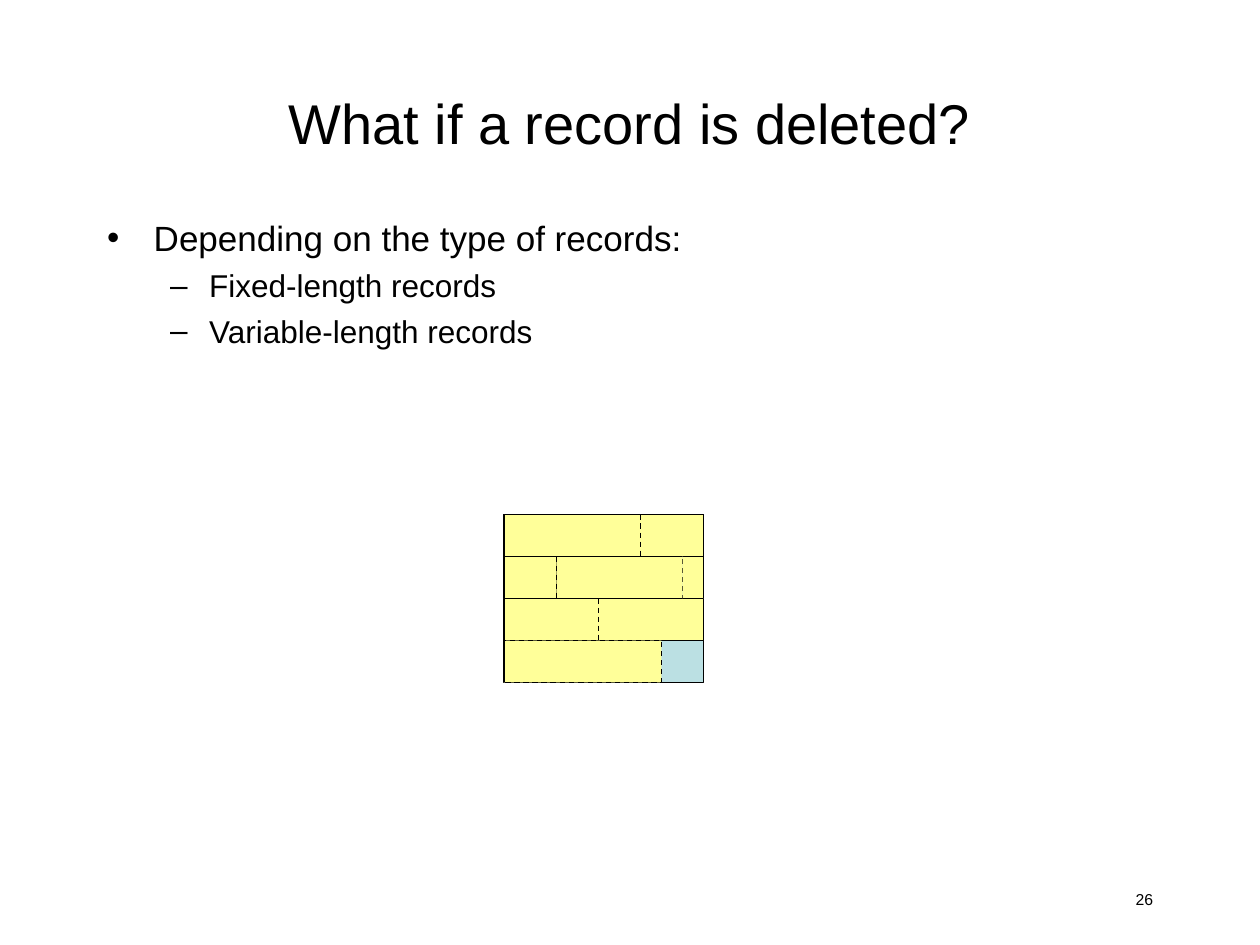
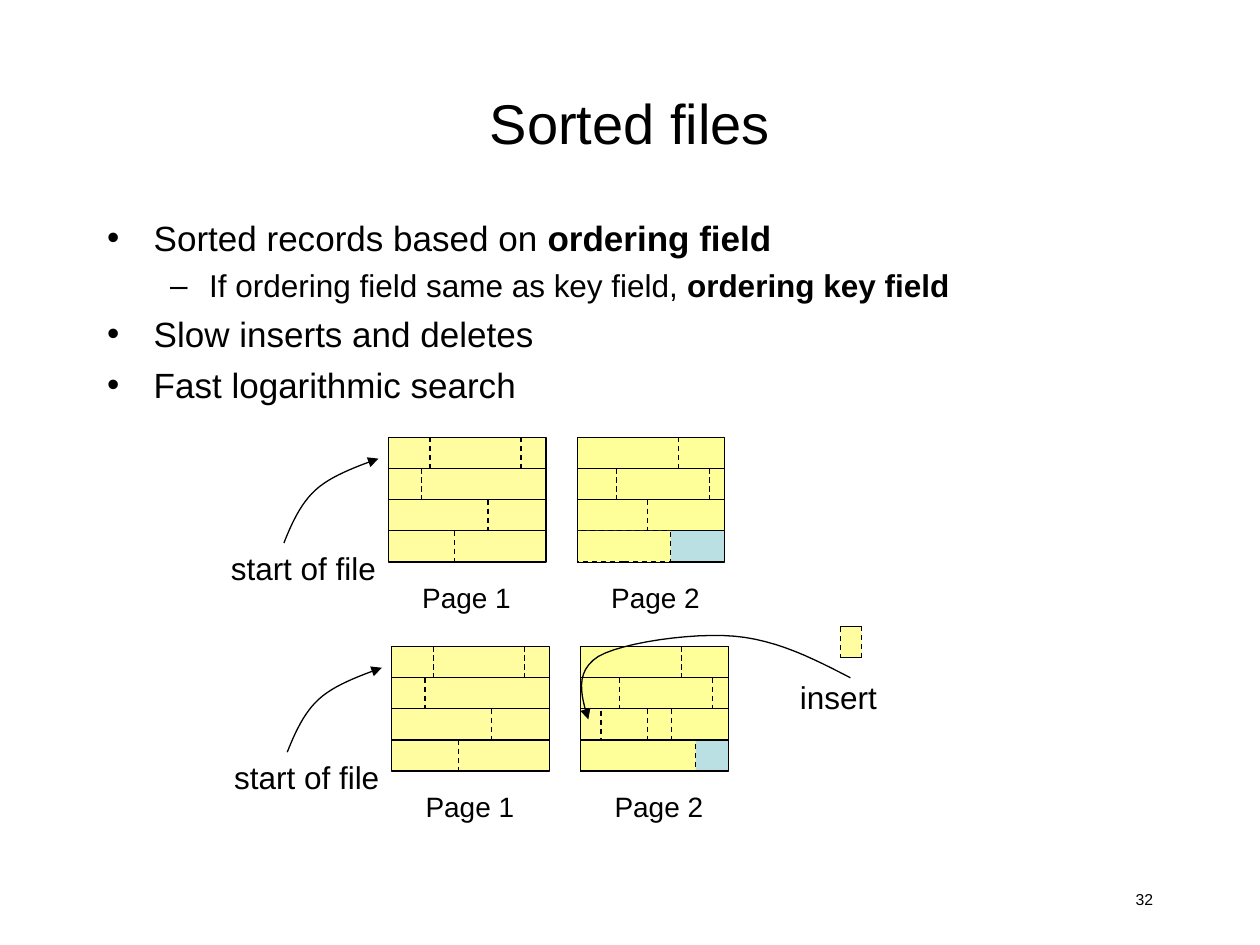
from lxml import etree
from pptx import Presentation
from pptx import util as u
from pptx.dml.color import RGBColor
from pptx.enum import dml, shapes, text
from pptx.oxml.ns import qn

# ---------- Content ----------
COLOURS = {"ink": "000000", "free": "BBE0E3", "record": "FFFF99", "sorted": "FFFDA0"}
FONT = "Arial"
COLUMNS, ROWS = 19, 4  # grid of every disk page

# Bullets are (level, plain words, bold words)
DELETED = {
    "title": "What if a record is deleted?",
    "number": "26",
    "bullets": [
        (0, "Depending on the type of records:", ""),
        (1, "Fixed-length records", ""),
        (1, "Variable-length records", ""),
    ],
}
SORTED = {
    "title": "Sorted files",
    "number": "32",
    "bullets": [
        (0, "Sorted records based on ", "ordering field"),
        (1, "If ordering field same as key field, ", "ordering key field"),
        (0, "Slow inserts and deletes", ""),
        (0, "Fast logarithmic search", ""),
    ],
}

# Disk pages: full-width bands, dashed marks as {row: columns}, and pieces of a row as
# (row, first column, last column, fill, solid sides, dashed border)
FULL_PAGE = {"fill": "sorted", "bands": (), "pieces": [],
             "marks": {0: (5, 16), 1: (4,), 2: (12,), 3: (8,)}}
SPLIT_PAGE = {"fill": "free", "bands": (0, 2), "marks": {0: (13,), 1: (5,), 2: (9,)},
              "pieces": [(3, 0, 15, "record", ("left",), True),
                         (1, 17, 19, "record", ("top", "bottom", "right"), True),
                         (1, 0, 5, "record", ("top", "bottom", "left"), True),
                         (1, 5, 17, "record", ("top", "bottom"), False)]}
BEFORE_INSERT = {"fill": "free", "bands": (0, 1, 2),
                 "marks": {0: (13,), 1: (5, 17), 2: (9,)},
                 "pieces": [(3, 0, 12, "record", ("left",), True)]}
AFTER_INSERT = {**BEFORE_INSERT, "marks": {0: (13,), 1: (5, 17), 2: (8.6, 11.7)},
                "pieces": BEFORE_INSERT["pieces"] + [
                    (2, 0, 2.6, "sorted", ("top", "bottom", "left"), True),
                    (3, 0, 14.8, "record", ("top", "bottom", "left"), True)]}

# Bullet levels: mark, left margin, hanging indent, size, space before
LEVELS = [("•", 0.37, 0.37, 20, 5), ("–", 0.81, 0.31, 18, 4.5)]

# Curves: start point, then Bezier segments of three points
START_CURVE = [(0.75, 0), (0.56, 0.07), (0.37, 0.14), (0.25, 0.25),
               (0.13, 0.36), (0.06, 0.52), (0, 0.67)]
INSERT_CURVE = [(6.75, 5.38), (6.46, 5.23), (6.17, 5.08), (5.83, 5.05),
                (5.5, 5.02), (4.94, 5.1), (4.75, 5.21),
                (4.56, 5.33), (4.61, 5.52), (4.67, 5.71)]


# ---------- Text ----------
def colour(name):
    return RGBColor.from_string(COLOURS[name])


def write(paragraph, words, size=18, bold=False, align=None):
    run = paragraph.add_run()
    run.text = words
    run.font.name, run.font.size, run.font.bold = FONT, u.Pt(size), bold
    run.font.color.rgb = colour("ink")
    if align is not None:
        paragraph.alignment = align


def add_label(slide, words, left, top, width, height, wrap=False, **style):
    box = slide.shapes.add_textbox(*map(u.Inches, (left, top, width, height)))
    box.text_frame.word_wrap = wrap
    write(box.text_frame.paragraphs[0], words, **style)


def place(shape, left, top, width, height):
    shape.left, shape.top, shape.width, shape.height = map(
        u.Inches, (left, top, width, height))


def set_bullet(paragraph, level):
    mark, margin, hang, size, space = LEVELS[level]
    paragraph.level = level
    properties = paragraph._p.get_or_add_pPr()
    properties.set("marL", str(u.Inches(margin)))
    properties.set("indent", str(-u.Inches(hang)))
    etree.SubElement(properties, qn("a:buFont")).set("typeface", FONT)
    etree.SubElement(properties, qn("a:buChar")).set("char", mark)
    return size, space


def add_slide(presentation, content):
    slide = presentation.slides.add_slide(presentation.slide_layouts[1])
    title, body = slide.placeholders
    place(title, 0.75, 0.34, 8.5, 1.25)
    title.text_frame.vertical_anchor = text.MSO_ANCHOR.MIDDLE
    write(title.text_frame.paragraphs[0], content["title"], size=32,
          align=text.PP_ALIGN.CENTER)

    place(body, 0.75, 5 / 3, 8.5, 5.08)
    frame = body.text_frame
    frame.auto_size = text.MSO_AUTO_SIZE.NONE
    for index, (level, plain, strong) in enumerate(content["bullets"]):
        paragraph = frame.add_paragraph() if index else frame.paragraphs[0]
        size, space = set_bullet(paragraph, level)
        paragraph.space_before = u.Pt(space if index else 0)
        write(paragraph, plain, size=size)
        if strong:
            write(paragraph, strong, size=size, bold=True)

    add_label(slide, content["number"], 7.17, 7.01, 2.08, 0.33, wrap=True, size=9,
              align=text.PP_ALIGN.RIGHT)
    return slide


# ---------- Drawing ----------
def outline(shape, dashed=False):
    shape.line.color.rgb = colour("ink")
    shape.line.width = u.Pt(0.75)
    if dashed:
        shape.line.dash_style = dml.MSO_LINE.DASH


def add_box(slide, left, top, width, height, fill, dashed=False, border=True):
    box = slide.shapes.add_shape(shapes.MSO_SHAPE.RECTANGLE,
                                 *map(u.Inches, (left, top, width, height)))
    box.shadow.inherit = False
    box.fill.solid()
    box.fill.fore_color.rgb = colour(fill)
    if border:
        outline(box, dashed)
    else:
        box.line.fill.background()


def add_line(slide, x1, y1, x2, y2, dashed=False):
    line = slide.shapes.add_connector(shapes.MSO_CONNECTOR.STRAIGHT,
                                      *map(u.Inches, (x1, y1, x2, y2)))
    etree.SubElement(line._element.spPr, qn("a:effectLst"))
    outline(line, dashed)


def add_piece(slide, left, top, width, height, fill, sides, border=True):
    """Draw part of a row: a dashed box with some sides solid."""
    right, bottom = left + width, top + height
    edges = {"top": (left, top, right, top), "bottom": (left, bottom, right, bottom),
             "left": (left, top, left, bottom), "right": (right, top, right, bottom)}
    add_box(slide, left, top, width, height, fill, dashed=True, border=border)
    for side in sides:
        add_line(slide, *edges[side])


def bezier(points, steps=12):
    """Points along a chain of cubic curves."""
    yield points[0]
    for first in range(0, len(points) - 1, 3):
        a, b, c, d = points[first:first + 4]
        for step in range(1, steps + 1):
            t = step / steps
            weights = ((1 - t) ** 3, 3 * t * (1 - t) ** 2, 3 * t * t * (1 - t), t ** 3)
            yield tuple(sum(w * p[axis] for w, p in zip(weights, (a, b, c, d)))
                        for axis in (0, 1))


def add_curve(slide, points, arrow, left=0, top=0):
    """Draw a curve; arrow is headEnd (at its start) or tailEnd (at its end)."""
    track = [(u.Inches(left + x), u.Inches(top + y)) for x, y in bezier(points)]
    builder = slide.shapes.build_freeform(*track[0])
    builder.add_line_segments(track[1:], close=False)
    curve = builder.convert_to_shape()
    curve.shadow.inherit = False
    curve.fill.background()
    outline(curve)
    etree.SubElement(curve.line._get_or_add_ln(), qn("a:" + arrow)).set("type", "triangle")


def add_page(slide, page, left, top, width, height):
    """Draw a disk page: bands or ruled rows, dashed marks, then pieces."""
    column, row_height = width / COLUMNS, height / ROWS
    add_box(slide, left, top, width, height, page["fill"])
    for row in page["bands"]:
        add_box(slide, left, top + row * row_height, width, row_height, "record")
    if not page["bands"]:
        for row in range(1, ROWS):
            y = top + row * row_height
            add_line(slide, left, y, left + width, y)
    for row, first, last, fill, sides, border in page["pieces"]:
        add_piece(slide, left + first * column, top + row * row_height,
                  (last - first) * column, row_height, fill, sides, border)
    for row, marks in page["marks"].items():
        y = top + row * row_height
        for mark in marks:
            x = left + mark * column
            add_line(slide, x, y, x, y + row_height, dashed=True)


def add_file(slide, second_page, left, top):
    """Draw a two-page file with its labels and the arrow to its start."""
    add_page(slide, second_page, left + 1.5, top, 1.17, 0.99)
    for index in range(2):
        add_label(slide, f"Page {index + 1}", left + 0.17 + 1.5 * index, top + 1.09,
                  0.9, 0.37, size=16)
    add_page(slide, FULL_PAGE, left, top, 1.25, 0.99)
    add_curve(slide, START_CURVE, "headEnd", left - 0.83, top + 0.17)
    add_label(slide, "start of file", left - 1.35, top + 0.84, 1.35, 0.4)


def add_inserted_record(slide):
    add_piece(slide, 6.67, 4.97, 0.17, 0.25, "sorted", ("top", "bottom"))
    add_curve(slide, INSERT_CURVE, "tailEnd")
    add_label(slide, "insert", 6.25, 5.33, 0.81, 0.4)


# ---------- Slides ----------
def main():
    presentation = Presentation()
    presentation.slide_width, presentation.slide_height = u.Inches(10), u.Inches(7.5)

    deleted = add_slide(presentation, DELETED)
    add_page(deleted, SPLIT_PAGE, 4, 49 / 12, COLUMNS / 12, ROWS / 3)

    sorted_files = add_slide(presentation, SORTED)
    add_file(sorted_files, BEFORE_INSERT, 37 / 12, 3.47)
    add_file(sorted_files, AFTER_INSERT, 3.11, 5.13)
    add_inserted_record(sorted_files)

    presentation.save("out.pptx")


if __name__ == "__main__":
    main()
